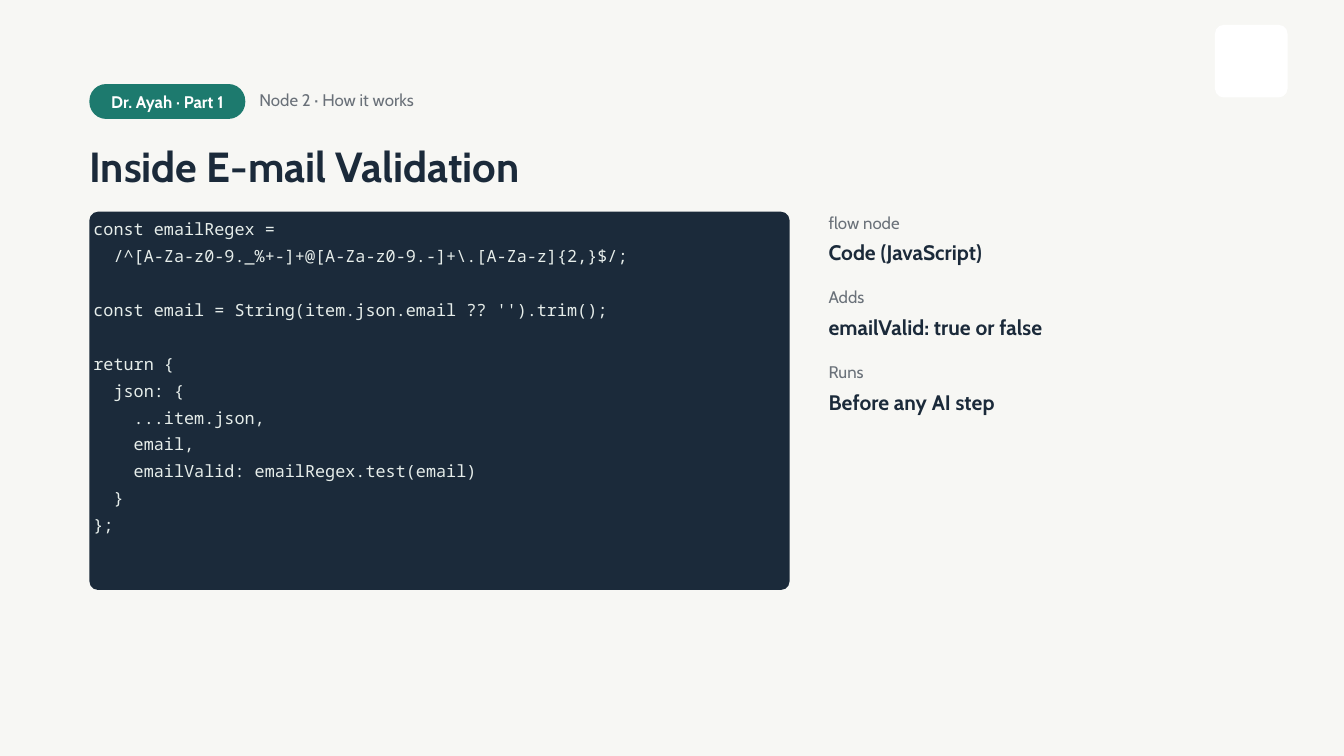
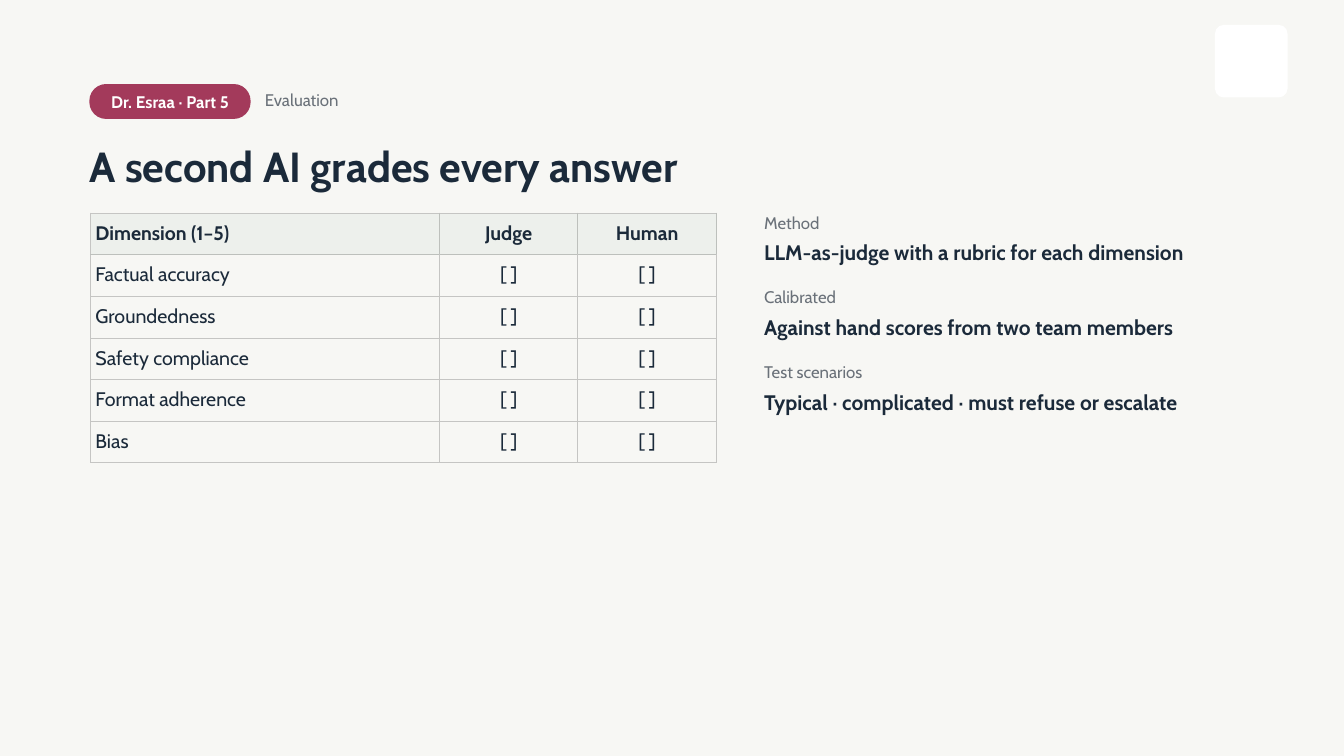
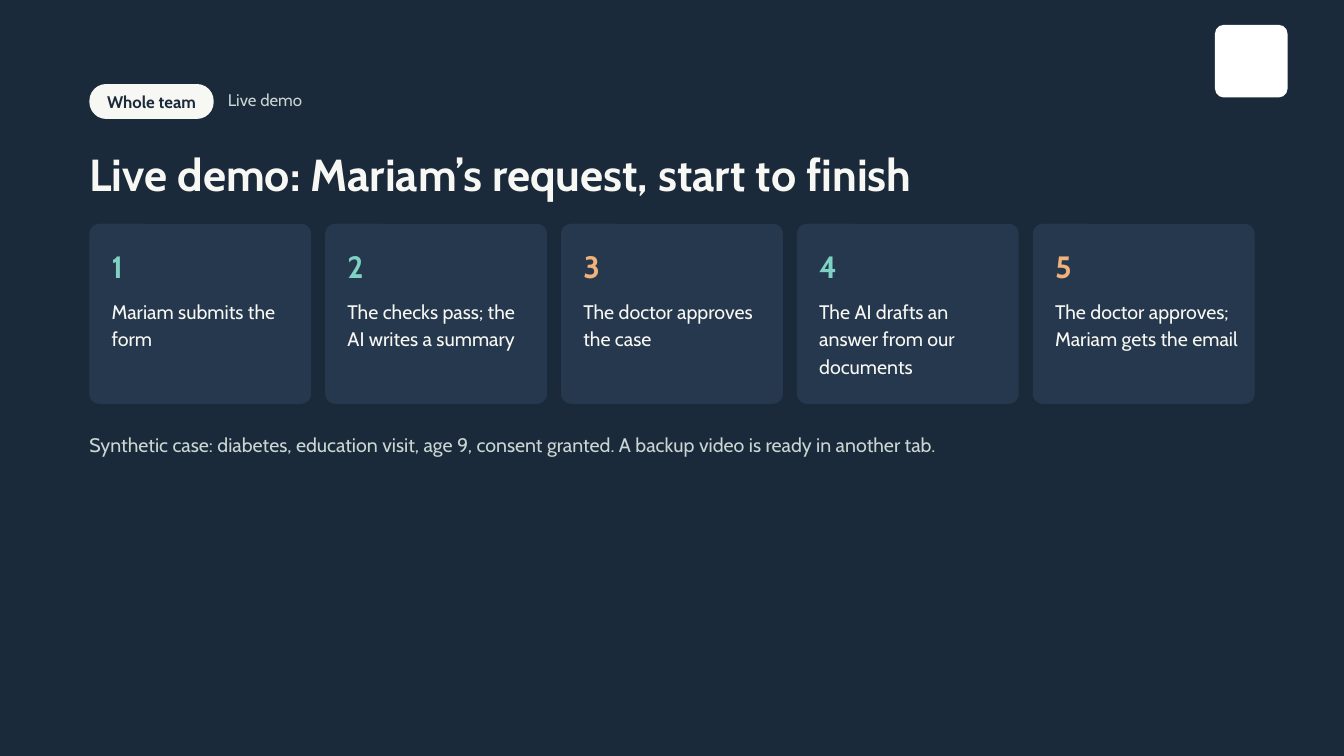
from lxml.etree import SubElement
from pptx import Presentation
from pptx.dml.color import RGBColor
from pptx.enum.shapes import MSO_SHAPE as SHAPE
from pptx.enum.text import MSO_ANCHOR as ANCHOR, PP_ALIGN as ALIGN
from pptx.oxml.ns import qn
from pptx.util import Inches, Pt

COLORS = {
    "paper": "F7F7F4", "navy": "1B2A3A", "card": "26384D", "white": "FFFFFF",
    "teal": "1D7A6E", "berry": "A33A5B", "gray": "6A7179", "mist": "C9D6D3",
    "code": "E6EDEA", "mint": "7FD1C4", "peach": "F0B27A",
    "header": "EDF0EC", "rule": "C5C5C3", "header_rule": "BDC0BC",
}
SANS, MONO = "Cabin", "Noto Sans Mono"
LEFT, CONTENT_W = 1.33, 17.34

CODE = """const emailRegex =
  /^[A-Za-z0-9._%+-]+@[A-Za-z0-9.-]+\\.[A-Za-z]{2,}$/;

const email = String(item.json.email ?? '').trim();

return {
  json: {
    ...item.json,
    email,
    emailValid: emailRegex.test(email)
  }
};"""


def rgb(name):
    return RGBColor.from_string(COLORS[name])


class Deck:
    """Holds the style and the slide being built."""

    def __init__(self):
        self.prs = Presentation()
        self.prs.slide_width, self.prs.slide_height = Inches(20), Inches(11.25)
        self.slide = None

    def new_slide(self, background):
        self.slide = self.prs.slides.add_slide(self.prs.slide_layouts[6])
        fill = self.slide.background.fill
        fill.solid()
        fill.fore_color.rgb = rgb(background)
        self.panel(18.08, 0.37, 1.08, 1.08, 0.13, "white")  # logo plate

    def add_run(self, p, text, size, color, leading, bold=False, font=SANS):
        p.line_spacing = Pt(leading)
        r = p.add_run()
        r.text = text
        r.font.name, r.font.size, r.font.bold = font, Pt(size), bold
        r.font.color.rgb = rgb(color)

    def frame(self, sp, inset=0):
        tf = sp.text_frame
        tf.word_wrap = True
        tf.margin_left = tf.margin_right = Inches(inset)
        tf.margin_top = tf.margin_bottom = Inches(inset)
        return tf

    def panel(self, x, y, w, h, radius, color):
        sp = self.slide.shapes.add_shape(
            SHAPE.ROUNDED_RECTANGLE, Inches(x), Inches(y), Inches(w), Inches(h))
        sp.adjustments[0] = radius / min(w, h)
        sp.shadow.inherit = False
        sp.fill.solid()
        sp.fill.fore_color.rgb = rgb(color)
        sp.line.fill.background()
        return sp

    def box(self, x, y, w, h, inset=0):
        sp = self.slide.shapes.add_textbox(
            Inches(x), Inches(y), Inches(w), Inches(h))
        return self.frame(sp, inset)

    def text(self, x, y, w, h, text, size, color, leading, bold=False):
        p = self.box(x, y, w, h).paragraphs[0]
        self.add_run(p, text, size, color, leading, bold)

    def heading(self, speaker, pill_w, topic, pill="paper",
                pill_text="white", topic_color="gray"):
        sp = self.panel(LEFT, 1.25, pill_w, 0.52, 0.25, pill)
        tf = self.frame(sp)
        tf.margin_bottom = Inches(0.03)
        tf.vertical_anchor = ANCHOR.MIDDLE
        p = tf.paragraphs[0]
        p.alignment = ALIGN.CENTER
        self.add_run(p, speaker, 18, pill_text, 25.2, True)
        self.text(LEFT + pill_w + 0.21, 1.29, 2.95, 0.43,
                  topic, 18, topic_color, 25.2)

    def title(self, text):
        self.text(LEFT, 2.13, 15.88, 0.73, text, 45, "navy", 51.7, True)

    def code_block(self, x, y, w, h, code):
        self.panel(x, y, w, h, 0.13, "navy")
        tf = self.box(x, y - 0.05, w, h + 0.05, 0.06)
        p, gap = tf.paragraphs[0], False
        for i, line in enumerate(code.split("\n")):
            if not line:
                gap = True
                continue
            if i:
                p = tf.add_paragraph()
            if gap:
                p.space_before = Pt(28.8)
            self.add_run(p, line, 18, "code", 28.8, font=MONO)
            gap = False

    def facts(self, x, w, pairs):
        for i, (label, value) in enumerate(pairs):
            y = 3.11 + i * 1.11
            self.text(x, y, w, 0.43, label, 18, "gray", 25.2)
            self.text(x, y + 0.43, w, 0.47, value, 22.5, "navy", 29.2, True)

    def borders(self, cell, sides):
        tc_pr = cell._tc.get_or_add_tcPr()
        for side, color in sides.items():
            ln = SubElement(tc_pr, qn(f"a:ln{side}"), w=str(Pt(1)))
            fill = SubElement(ln, qn("a:solidFill"))
            SubElement(fill, qn("a:srgbClr"), val=COLORS[color])

    def table(self, x, y, col_widths, row_h, rows):
        tbl = self.slide.shapes.add_table(
            len(rows), len(col_widths), Inches(x), Inches(y),
            Inches(sum(col_widths)), Inches(row_h * len(rows))).table
        tbl.horz_banding = False
        for col, w in zip(tbl.columns, col_widths):
            col.width = Inches(w)
        for i, row in enumerate(rows):
            head = i == 0
            tbl.rows[i].height = Inches(row_h)
            for j, text in enumerate(row):
                cell = tbl.cell(i, j)
                inner = "header_rule" if head else "rule"
                self.borders(cell, {
                    "L": inner if j else "rule", "R": inner,
                    "T": "header_rule" if i == 1 else "rule", "B": inner})
                if head:
                    cell.fill.solid()
                    cell.fill.fore_color.rgb = rgb("header")
                else:
                    cell.fill.background()
                cell.margin_left = cell.margin_right = Inches(0.07)
                cell.margin_top = cell.margin_bottom = Inches(0.07)
                p = cell.text_frame.paragraphs[0]
                p.alignment = ALIGN.CENTER if j else ALIGN.LEFT
                self.add_run(p, text, 21, "navy", 29.4, head)

    def steps(self, y, h, gap, steps):
        w = (CONTENT_W - gap * (len(steps) - 1)) / len(steps)
        for i, (text, color) in enumerate(steps):
            x = LEFT + i * (w + gap)
            self.panel(x, y, w, h, 0.15, "card")
            self.text(x + 0.33, y + 0.26, 2.72, 0.76,
                      str(i + 1), 33, color, 46.2, True)
            self.text(x + 0.33, y + 1.07, 2.72, 1.32, text, 21, "paper", 29.4)


def main():
    deck = Deck()

    # Slide 1: validation code
    deck.new_slide("paper")
    deck.heading("Dr. Ayah · Part 1", 2.32, "Node 2 · How it works", "teal")
    deck.title("Inside E-mail Validation")
    deck.code_block(LEFT, 3.15, 10.42, 5.63, CODE)
    deck.facts(12.33, 6.52, [
        ("flow node", "Code (JavaScript)"),
        ("Adds", "emailValid: true or false"),
        ("Runs", "Before any AI step"),
    ])

    # Slide 2: evaluation table
    deck.new_slide("paper")
    deck.heading("Dr. Esraa · Part 5", 2.4, "Evaluation", "berry")
    deck.title("A second AI grades every answer")
    dimensions = ["Factual accuracy", "Groundedness", "Safety compliance",
                  "Format adherence", "Bias"]
    deck.table(1.35, 3.17, [5.19, 2.06, 2.06], 0.62,
               [("Dimension (1–5)", "Judge", "Human")]
               + [(name, "[ ]", "[ ]") for name in dimensions])
    deck.facts(11.37, 7.51, [
        ("Method", "LLM-as-judge with a rubric for each dimension"),
        ("Calibrated", "Against hand scores from two team members"),
        ("Test scenarios", "Typical · complicated · must refuse or escalate"),
    ])

    # Slide 3: live demo steps
    deck.new_slide("navy")
    deck.heading("Whole team", 1.85, "Live demo",
                 pill_text="navy", topic_color="mist")
    deck.text(LEFT, 2.25, 15.88, 0.71,
              "Live demo: Mariam’s request, start to finish",
              48, "paper", 52.8, True)
    deck.steps(3.33, 2.68, 0.21, [
        ("Mariam submits the form", "mint"),
        ("The checks pass; the AI writes a summary", "mint"),
        ("The doctor approves the case", "peach"),
        ("The AI drafts an answer from our documents", "mint"),
        ("The doctor approves; Mariam gets the email", "peach"),
    ])
    deck.text(LEFT, 6.38, 17.85, 0.5,
              "Synthetic case: diabetes, education visit, age 9, consent "
              "granted. A backup video is ready in another tab.",
              21, "mist", 29.4)

    deck.prs.save("out.pptx")


if __name__ == "__main__":
    main()
